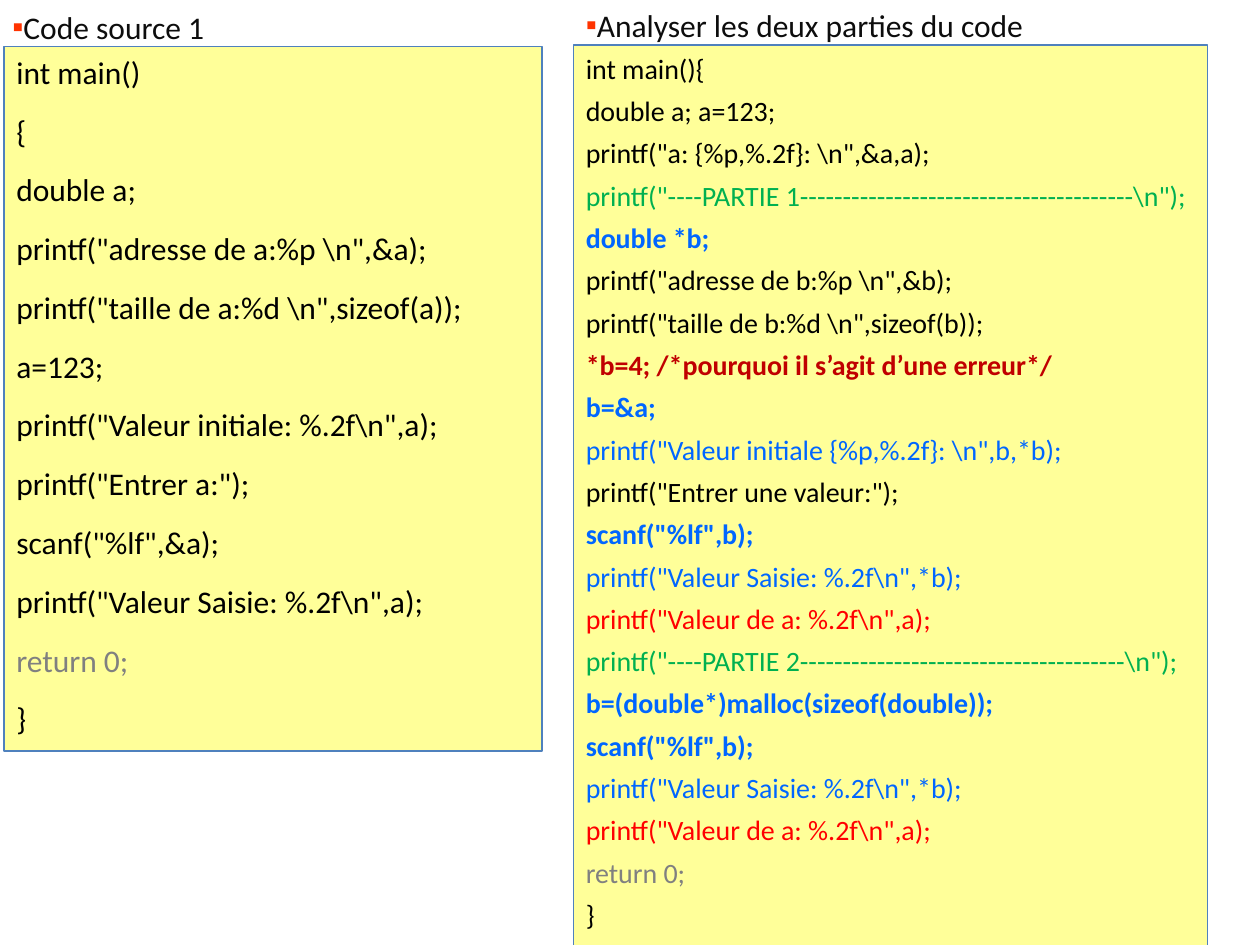
from lxml import etree
from pptx import Presentation
from pptx.dml.color import RGBColor
from pptx.enum.shapes import MSO_SHAPE
from pptx.enum.text import MSO_ANCHOR, MSO_AUTO_SIZE, PP_ALIGN
from pptx.oxml.ns import qn
from pptx.util import Cm, Pt

RECTANGLE = MSO_SHAPE.RECTANGLE
FRAME_FORMAT = {
    "word_wrap": True,
    "auto_size": MSO_AUTO_SIZE.SHAPE_TO_FIT_TEXT,
    "vertical_anchor": MSO_ANCHOR.TOP,
}
LEFT = PP_ALIGN.LEFT

BLACK, GREY, GREEN = "000000", "808080", "00B050"
BLUE, RED, DARK_RED = "0066FF", "FF0000", "C00000"
HEADING, BULLET = "0D0D0D", "FF3300"
PANEL, BORDER = "FFFF99", "4F81BD"

# Code lines: text, colour, bold
SOURCE_1 = [
    ("int main()", BLACK, False),
    ("{", BLACK, False),
    ("double a;", BLACK, False),
    (r'printf("adresse de a:%p \n",&a);', BLACK, False),
    (r'printf("taille de a:%d \n",sizeof(a));', BLACK, False),
    ("a=123;", BLACK, False),
    (r'printf("Valeur initiale: %.2f\n",a);', BLACK, False),
    ('printf("Entrer a:");', BLACK, False),
    ('scanf("%lf",&a);', BLACK, False),
    (r'printf("Valeur Saisie: %.2f\n",a);', BLACK, False),
    ("return 0;", GREY, False),
    ("}", BLACK, False),
]
READ_AND_SHOW = [
    ('scanf("%lf",b);', BLUE, True),
    (r'printf("Valeur Saisie: %.2f\n",*b);', BLUE, False),
    (r'printf("Valeur de a: %.2f\n",a);', RED, False),
]
TWO_PARTS = [
    ("int main(){", BLACK, False),
    ("double a; a=123;", BLACK, False),
    (r'printf("a: {%p,%.2f}: \n",&a,a);', BLACK, False),
    (r'printf("----PARTIE 1---------------------------------------\n");', GREEN, False),
    ("double *b;", BLUE, True),
    (r'printf("adresse de b:%p \n",&b);', BLACK, False),
    (r'printf("taille de b:%d \n",sizeof(b));', BLACK, False),
    ("*b=4; /*pourquoi il s’agit d’une erreur*/", DARK_RED, True),
    ("b=&a;", BLUE, True),
    (r'printf("Valeur initiale {%p,%.2f}: \n",b,*b);', BLUE, False),
    ('printf("Entrer une valeur:");', BLACK, False),
    *READ_AND_SHOW,
    (r'printf("----PARTIE 2--------------------------------------\n");', GREEN, False),
    ("b=(double*)malloc(sizeof(double));", BLUE, True),
    *READ_AND_SHOW,
    ("return 0;", GREY, False),
    ("}", BLACK, False),
]


def color(value):
    return RGBColor.from_string(value)


def apply_format(target, values):
    for name, value in values.items():
        setattr(target, name, value)


def write_line(paragraph, text, size, ink, bold, gap):
    apply_format(paragraph, {"alignment": LEFT, "space_after": Pt(gap)})
    run = paragraph.add_run()
    run.text = text
    apply_format(run.font, {"name": "Calibri", "size": Pt(size), "bold": bold})
    run.font.color.rgb = color(ink)


def add_bullet(paragraph):
    props = paragraph._p.get_or_add_pPr()
    props.set("marL", "0")
    props.set("indent", str(-Cm(0.95)))
    bullet_color = etree.SubElement(props, qn("a:buClr"))
    etree.SubElement(bullet_color, qn("a:srgbClr"), val=BULLET)
    etree.SubElement(props, qn("a:buFont"), typeface="Arial")
    etree.SubElement(props, qn("a:buChar"), char="▪")


def add_heading(slide, left, top, text):
    heading = slide.shapes.add_textbox(Cm(left), Cm(top), Cm(10.9), Cm(1.02))
    apply_format(heading.text_frame, FRAME_FORMAT)
    paragraph = heading.text_frame.paragraphs[0]
    paragraph.level = 1
    write_line(paragraph, text, 18, HEADING, False, 6)
    add_bullet(paragraph)


def add_code_panel(slide, box, lines, size, gap):
    panel = slide.shapes.add_shape(RECTANGLE, *(Cm(length) for length in box))
    panel.shadow.inherit = False
    panel.fill.solid()
    panel.fill.fore_color.rgb = color(PANEL)
    panel.line.color.rgb = color(BORDER)
    panel.line.width = Pt(0.75)
    frame = panel.text_frame
    apply_format(frame, FRAME_FORMAT)
    for index, (text, ink, bold) in enumerate(lines):
        paragraph = frame.add_paragraph() if index else frame.paragraphs[0]
        write_line(paragraph, text, size, ink, bold, gap)


def main():
    deck = Presentation()
    deck.slide_width, deck.slide_height = Cm(25.4), Cm(19.05)
    slide = deck.slides.add_slide(deck.slide_layouts[6])

    # First program
    add_heading(slide, 0, 0.03, "Code source 1")
    add_code_panel(slide, (0.08, 0.94, 10.85, 14.2), SOURCE_1, 18, 12)

    # Program in two parts
    add_code_panel(slide, (11.56, 0.91, 12.78, 18.19), TWO_PARTS, 16, 5)
    add_heading(slide, 11.56, 0, "Analyser les deux parties du code")

    deck.save("out.pptx")


main()
